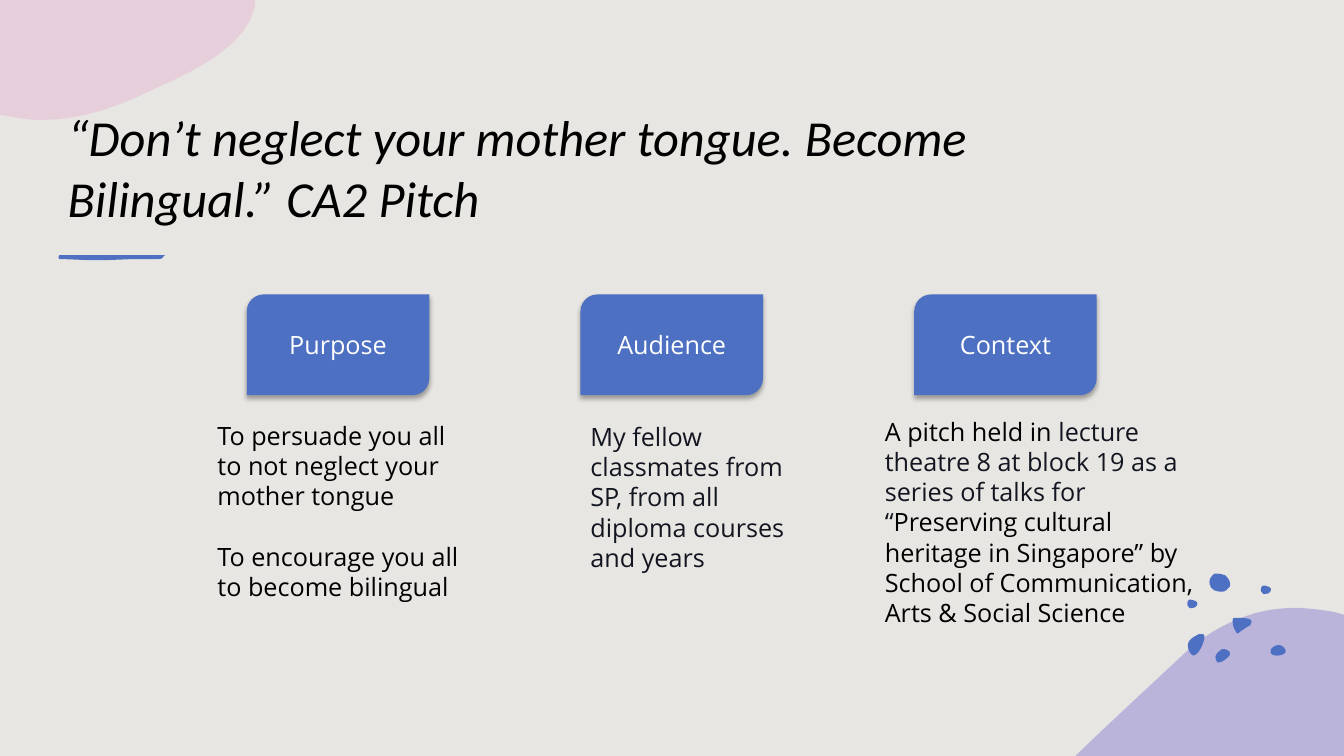
from lxml import etree
from pptx import Presentation
from pptx.dml.color import RGBColor
from pptx.enum.shapes import MSO_SHAPE
from pptx.enum.text import MSO_ANCHOR, MSO_AUTO_SIZE, PP_ALIGN
from pptx.oxml import parse_xml
from pptx.oxml.ns import qn
from pptx.util import Cm, Pt

CARD = MSO_SHAPE.ROUND_2_DIAG_RECTANGLE
LEFT, CENTER = PP_ALIGN.LEFT, PP_ALIGN.CENTER
TOP, MIDDLE, BOTTOM = MSO_ANCHOR.TOP, MSO_ANCHOR.MIDDLE, MSO_ANCHOR.BOTTOM
FIXED = MSO_AUTO_SIZE.NONE

SAND = RGBColor(0xE8, 0xE6, 0xE2)
BLUE = RGBColor(0x4D, 0x70, 0xC3)
LILAC = RGBColor(0x8D, 0x84, 0xD6)
PINK = RGBColor(0xE7, 0xB8, 0xD5)
BLACK = RGBColor(0, 0, 0)
INK = RGBColor(0x13, 0x15, 0x20)
WHITE = RGBColor(255, 255, 255)

UNIT = Cm(0.0254)  # outline points count hundredths of an inch
STEPS = 8
SHADOW = (
    '<a:effectLst xmlns:a="http://schemas.openxmlformats.org/drawingml/2006/main">'
    '<a:outerShdw blurRad="44450" dist="27940" dir="5400000">'
    '<a:srgbClr val="000000"><a:alpha val="32000"/></a:srgbClr>'
    '</a:outerShdw></a:effectLst>')


def write(frame, paras, font="Open Sans", size=18, color=BLACK, italic=False,
          align=LEFT, anchor=TOP, pitch=None, gap=0):
    """Fill a frame; each paragraph is a string or a list of (text, colour)."""
    frame.word_wrap = True
    frame.auto_size = FIXED
    frame.vertical_anchor = anchor
    for i, runs in enumerate(paras):
        para = frame.paragraphs[0] if i == 0 else frame.add_paragraph()
        para.alignment = align
        if pitch:
            para.line_spacing = Pt(pitch)
        para.space_before = Pt(gap if i else 0)
        for text, tint in [(runs, color)] if isinstance(runs, str) else runs:
            run = para.add_run()
            run.text = text
            run.font.name, run.font.size = font, Pt(size)
            run.font.italic = italic
            run.font.color.rgb = tint


def trace(start, parts):
    """Turn lines (2 numbers) and Bezier curves (6 numbers) into points."""
    points = [start]
    for part in parts:
        if len(part) == 2:
            points.append(part)
            continue
        ends = [points[-1], part[:2], part[2:4], part[4:]]
        for step in range(1, STEPS + 1):
            t = step / STEPS
            u = 1 - t
            rates = (u ** 3, 3 * u * u * t, 3 * u * t * t, t ** 3)
            points.append(tuple(sum(r * e[axis] for r, e in zip(rates, ends))
                                for axis in (0, 1)))
    return points


class Board:
    def __init__(self, deck):
        self.slide = deck.slides.add_slide(deck.slide_layouts[5])
        self.shapes = self.slide.shapes
        fill = self.slide.background.fill
        fill.solid()
        fill.fore_color.rgb = SAND

    def paint(self, shape, color, alpha=None):
        shape.shadow.inherit = False
        shape.fill.solid()
        shape.fill.fore_color.rgb = color
        shape.line.fill.background()
        if alpha:
            tint = shape._element.spPr.find(qn("a:solidFill"))[0]
            etree.SubElement(tint, qn("a:alpha"), val=str(alpha * 1000))

    def patch(self, start, parts, color=BLUE, alpha=None, shift=(0, 0)):
        points = [((x + shift[0]) * UNIT, (y + shift[1]) * UNIT)
                  for x, y in trace(start, parts)]
        build = self.shapes.build_freeform(*points[0])
        build.add_line_segments(points[1:], close=True)
        self.paint(build.convert_to_shape(), color, alpha)

    def title(self, text, *box):
        shape = self.shapes.title
        shape.left, shape.top, shape.width, shape.height = map(Cm, box)
        write(shape.text_frame, [text], font="Calibri", size=36, italic=True,
              anchor=BOTTOM)

    def card(self, text, *box):
        shape = self.shapes.add_shape(CARD, *map(Cm, box))
        self.paint(shape, BLUE)
        props = shape._element.spPr
        props.replace(props.find(qn("a:effectLst")), parse_xml(SHADOW))
        write(shape.text_frame, [text], color=WHITE, align=CENTER, anchor=MIDDLE)

    def note(self, paras, *box):
        shape = self.shapes.add_textbox(*map(Cm, box))
        write(shape.text_frame, paras, pitch=21.6, gap=21.6)


deck = Presentation()
deck.slide_width, deck.slide_height = Cm(33.87), Cm(19.05)
board = Board(deck)

# Corner patches
board.patch((1288, 603), [
    (1301, 604, 1314, 605, 1327, 608), (1333.5, 610), (1333.5, 750),
    (1067, 750), (1068, 749), (1102, 716, 1137, 684, 1169, 654),
    (1191, 632, 1214, 619, 1237, 611), (1254, 605, 1271, 603, 1288, 603),
], LILAC, 50)
board.patch((0, 0), [
    (253, 0), (253, 6), (245, 44, 200, 67, 158, 86),
    (123, 103, 86, 119, 41, 119), (31, 119, 22, 118, 13, 116), (0, 114),
], PINK, 50)

# Scattered dots
DOTS = [
    ((1213, 644), [
        (1215, 644, 1216, 644, 1218, 645), (1220, 646, 1221, 648, 1220, 650),
        (1218, 653, 1212, 658, 1208, 657), (1207, 656, 1206, 654, 1206, 652),
        (1206, 650, 1208, 647, 1210, 646), (1211, 645, 1212, 644, 1213, 644)]),
    ((1191, 629), [
        (1193, 629, 1195, 629, 1195, 631), (1195, 632, 1195, 632, 1195, 633),
        (1194, 638, 1192, 643, 1189, 647), (1187, 649, 1184, 652, 1182, 649),
        (1179, 646, 1178, 641, 1179, 638), (1180, 635, 1182, 634, 1184, 632),
        (1185, 632, 1188, 629, 1191, 629)]),
    ((1269, 640), [
        (1271, 640, 1274, 642, 1275, 644), (1276, 646, 1276, 648, 1273, 649),
        (1270, 651, 1262, 651, 1261, 648), (1260, 646, 1261, 644, 1262, 643),
        (1264, 641, 1266, 640, 1269, 640)]),
    ((1201, 581), [
        (1200, 581, 1199, 575, 1202, 572), (1204, 570, 1204, 569, 1207, 569),
        (1210, 569, 1214, 570, 1216, 571), (1218, 573, 1222, 578, 1220, 582),
        (1217, 585, 1216, 587, 1212, 587), (1209, 587, 1204, 586, 1203, 584),
        (1201, 583, 1201, 582, 1201, 581)]),
    ((1228, 613), [
        (1234, 613, 1245, 613, 1241, 619), (1241, 620, 1240, 621, 1239, 621),
        (1236, 623, 1233, 625, 1230, 627), (1229, 628, 1228, 629, 1227, 628),
        (1224, 623, 1223, 620, 1223, 616), (1223, 615, 1223, 614, 1224, 613)]),
]
SPECK = ((1251, 586), [
    (1251, 586, 1251, 582, 1253, 581), (1255, 581, 1256, 581, 1258, 582),
    (1259, 582, 1261, 583, 1261, 585), (1261, 586, 1260, 588, 1259, 588),
    (1259, 588, 1259, 589, 1257, 589), (1256, 589, 1254, 590, 1253, 589),
    (1252, 587, 1251, 587, 1251, 586)])
for dot in DOTS:
    board.patch(*dot)
for shift in ((0, 0), (-73, 14)):
    board.patch(*SPECK, shift=shift)

# Title and brush stroke
board.title("“Don’t neglect your mother tongue. Become Bilingual.” CA2 Pitch",
            1.45, 2.18, 27.99, 3.68)
board.patch((59, 253), [
    (75, 253), (111, 253), (164, 253), (161, 254, 163, 257, 157, 257),
    (133, 257), (107, 258), (86, 258), (61, 257), (57, 258, 58, 254, 59, 253)])

# Cards and their notes
PARTS = [
    ("Purpose",
     ["To persuade you all to not neglect your mother tongue",
      "To encourage you all to become bilingual"],
     (5.23, 10.46, 6.6, 4.88)),
    ("Audience",
     [[("My fellow classmates from SP, from all diploma courses and years", INK)]],
     (14.63, 10.49, 5.66, 4.11)),
    ("Context",
     [[("A pitch held in ", BLACK),
       ("lecture theatre 8 at block 19 as a series of talks for “", INK),
       ("Preserving cultural heritage in Singapore” by School of "
        "Communication, Arts & Social Science", BLACK)]],
     (22.05, 10.36, 8.56, 5.64)),
]
for i, (head, paras, box) in enumerate(PARTS):
    board.card(head, 6.22 + 8.41 * i, 7.42, 4.6, 2.54)
    board.note(paras, *box)

deck.save("out.pptx")
